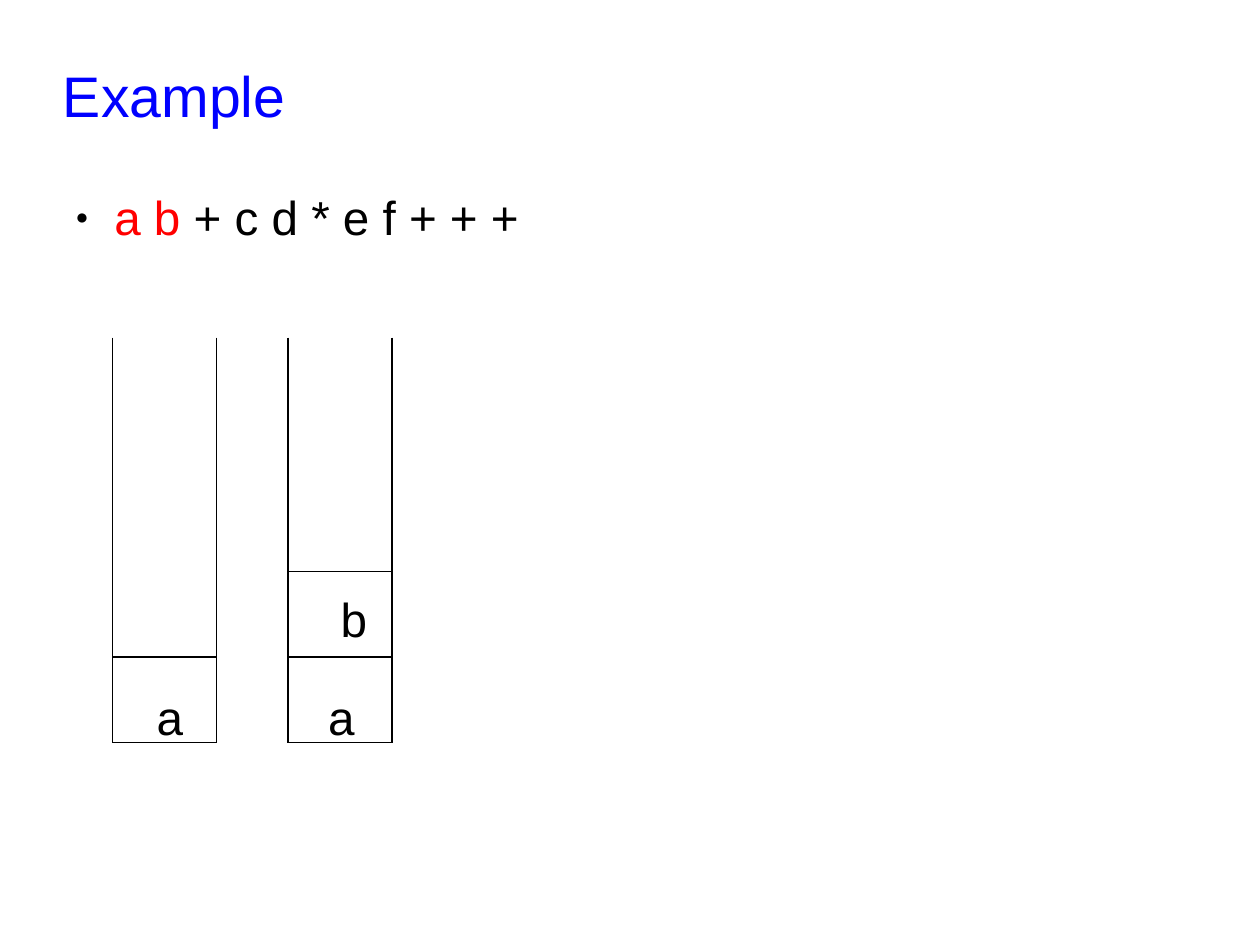
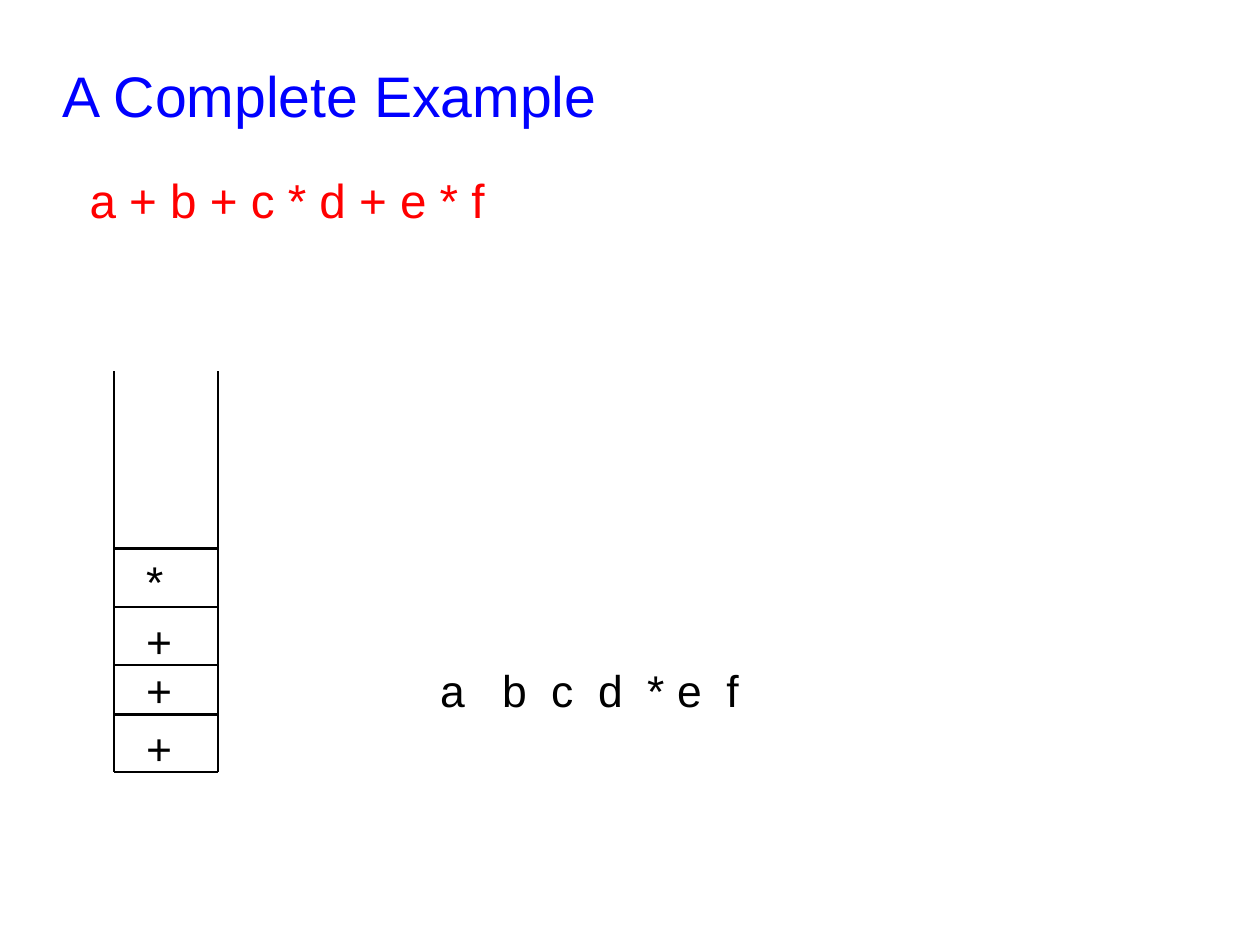
from lxml.etree import SubElement
from pptx import Presentation
from pptx.dml.color import RGBColor
from pptx.enum.shapes import MSO_CONNECTOR
from pptx.enum.text import MSO_ANCHOR, MSO_AUTO_SIZE, PP_ALIGN
from pptx.oxml.ns import qn
from pptx.util import Cm, Pt

FONT = "Arial"
BLACK, BLUE, RED = "000000", "0000FF", "FF0000"
TITLE_AREA = (1.4, 0.97, 25.17, 1.89)
BODY_AREA = (1.4, 3.5, 25.17, 15)
STACK_WIDTH = 2.31

# Lengths are centimetres. A cell is (symbol, cell top, symbol left, symbol top).
SLIDES = [
    {
        "title": "Example",
        "expression": [("a b", RED), (" + c d * e f + + +", BLACK)],
        "bullet": True, "margin": 1.14, "hanging": 0.86, "body_spacing": 1.54,
        "line_width": 0.75, "symbol_size": 30, "symbol_spacing": 1.54,
        "stacks": [
            {"left": 2.5, "top": 7.5, "bottom": 16.5,
             "cells": [("a", 14.6, 3.48, 14.6)]},
            {"left": 6.4, "top": 7.5, "bottom": 16.5,
             "cells": [("a", 14.6, 7.29, 14.6), ("b", 12.7, 7.57, 12.42)]},
        ],
    },
    {
        "title": "A Complete Example",
        "expression": [("a + b + c * d + e * f", RED)],
        "bullet": False, "margin": 0.59, "hanging": 0, "body_spacing": 1.24,
        "line_width": 1.45, "symbol_size": 28, "symbol_spacing": 1,
        "stacks": [
            {"left": 2.54, "top": 8.25, "bottom": 17.15,
             "cells": [("+", 15.88, 3.25, 16.03), ("+", 14.78, 3.25, 14.73),
                       ("+", 13.49, 3.25, 13.64), ("*", 12.19, 3.25, 12.32)]},
        ],
        "output": ["a", "b", "c", "d", "*", "e", "f"],
    },
]
OUTPUT_AREA = (9.78, 14.73, 12.2, 1.2)
OUTPUT_TABS = [1.38, 2.47, 3.51, 4.6, 5.27, 6.36]


def rgb(colour):
    return RGBColor.from_string(colour)


def place(shape, area):
    shape.left, shape.top, shape.width, shape.height = map(Cm, area)


def prepare(shape, anchor=MSO_ANCHOR.TOP):
    """Clear the margins of a text shape and return its first paragraph."""
    frame = shape.text_frame
    frame.margin_left = frame.margin_right = frame.margin_top = frame.margin_bottom = 0
    frame.word_wrap = True
    frame.auto_size = MSO_AUTO_SIZE.NONE
    frame.vertical_anchor = anchor
    return frame.paragraphs[0]


def style(paragraph, size, colour=BLACK, spacing=1):
    paragraph.alignment = PP_ALIGN.LEFT
    paragraph.line_spacing = spacing
    paragraph.space_before = Pt(0)
    paragraph.font.name = FONT
    paragraph.font.size = Pt(size)
    paragraph.font.color.rgb = rgb(colour)


def set_bullet(paragraph, shown, margin, hanging):
    properties = paragraph._p.get_or_add_pPr()
    properties.set("marL", str(Cm(margin)))
    properties.set("indent", str(-Cm(hanging)))
    if shown:
        colour = SubElement(properties, qn("a:buClr"))
        SubElement(colour, qn("a:srgbClr"), val=BLACK)
        SubElement(properties, qn("a:buSzPct"), val="45000")
        SubElement(properties, qn("a:buChar"), char="●")
    else:
        SubElement(properties, qn("a:buNone"))


def add_text(slide, text, area, size, spacing=1, tabs=()):
    paragraph = prepare(slide.shapes.add_textbox(*map(Cm, area)))
    paragraph.text = text
    if tabs:
        tab_list = SubElement(paragraph._p.get_or_add_pPr(), qn("a:tabLst"))
        for position in tabs:
            SubElement(tab_list, qn("a:tab"), pos=str(Cm(position)), algn="l")
    style(paragraph, size, spacing=spacing)


def add_line(slide, start, end, width):
    line = slide.shapes.add_connector(
        MSO_CONNECTOR.STRAIGHT, *map(Cm, start), *map(Cm, end))
    line.line.color.rgb = rgb(BLACK)
    line.line.width = Pt(width)
    SubElement(line._element.spPr, qn("a:effectLst"))


def add_stack(slide, stack, line_width, size, spacing):
    left, top, bottom = stack["left"], stack["top"], stack["bottom"]
    right = left + STACK_WIDTH
    for x in (left, right):
        add_line(slide, (x, top), (x, bottom), line_width)
    for y in [bottom] + [cell_top for _, cell_top, _, _ in stack["cells"]]:
        add_line(slide, (left, y), (right, y), line_width)
    for symbol, _, symbol_left, symbol_top in stack["cells"]:
        add_text(slide, symbol, (symbol_left, symbol_top, 1, 1.5), size, spacing)


def add_slide(presentation, layout, content):
    slide = presentation.slides.add_slide(layout)

    title = prepare(slide.shapes.title, MSO_ANCHOR.MIDDLE)
    title.text = content["title"]
    style(title, 36, BLUE, 1.24)

    body = prepare(slide.placeholders[1])
    set_bullet(body, content["bullet"], content["margin"], content["hanging"])
    style(body, 30, spacing=content["body_spacing"])
    for text, colour in content["expression"]:
        run = body.add_run()
        run.text = text
        run.font.color.rgb = rgb(colour)

    for stack in content["stacks"]:
        add_stack(slide, stack, content["line_width"],
                  content["symbol_size"], content["symbol_spacing"])
    if "output" in content:
        add_text(slide, "\t".join(content["output"]), OUTPUT_AREA, 28, tabs=OUTPUT_TABS)


def main():
    presentation = Presentation()
    presentation.slide_width, presentation.slide_height = Cm(28), Cm(21)
    layout = presentation.slide_layouts[1]
    place(layout.placeholders[0], TITLE_AREA)
    place(layout.placeholders[1], BODY_AREA)
    for content in SLIDES:
        add_slide(presentation, layout, content)
    presentation.save("out.pptx")


if __name__ == "__main__":
    main()
